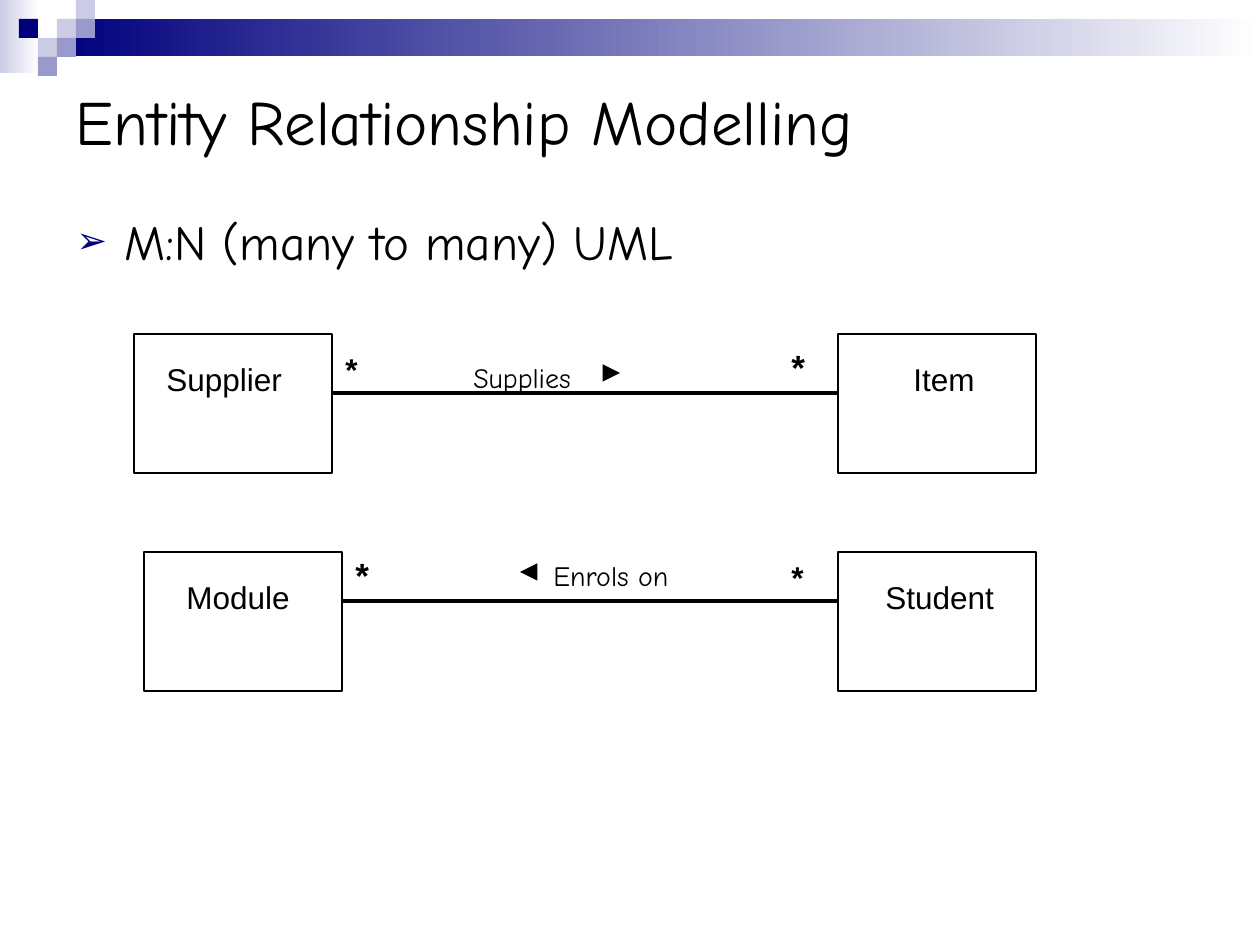
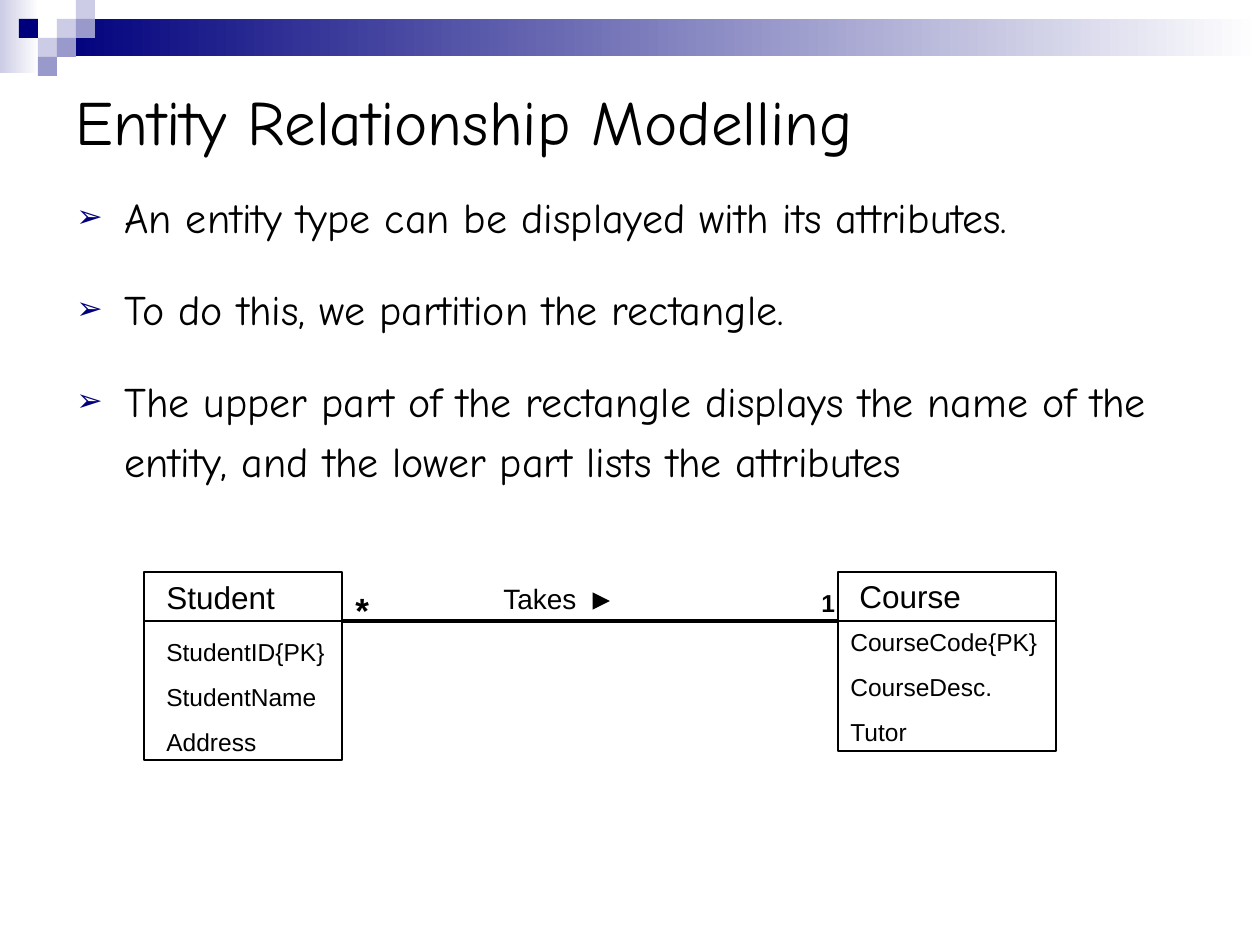
from lxml.etree import SubElement
from pptx import Presentation
from pptx.dml.color import RGBColor
from pptx.enum.shapes import MSO_CONNECTOR, MSO_SHAPE
from pptx.enum.text import MSO_ANCHOR, MSO_AUTO_SIZE
from pptx.oxml.ns import qn
from pptx.util import Emu, Pt

PX_PER_INCH = 126
COLORS = {"ink": "000000", "navy": "00007D", "mid": "9999CC", "pale": "CCCCE6", "white": "FFFFFF"}
HAND, SANS = "Comic Neue", "Arial"
TITLE = "Entity Relationship Modelling"
TILE = 19
# column, row and colour of each corner tile
TILES = [(3, 1, "pale"), (4, 0, "pale"), (4, 1, "mid"), (2, 2, "pale"),
         (1, 1, "navy"), (3, 2, "mid"), (2, 3, "mid")]


def px(n):
    return Emu(round(n * 914400 / PX_PER_INCH))


def rgb(name):
    return RGBColor.from_string(COLORS[name])


def rect(s, x, y, w, h):
    sp = s.shapes.add_shape(MSO_SHAPE.RECTANGLE, px(x), px(y), px(w), px(h))
    sp.shadow.inherit = False
    return sp


def tile(s, col, row, color):
    sp = rect(s, col * TILE, row * TILE, TILE, TILE)
    sp.fill.solid()
    sp.fill.fore_color.rgb = rgb(color)
    sp.line.fill.background()


def fade(s, x, y, w, h, color):
    """Draw a band that fades to white towards the right."""
    sp = rect(s, x, y, w, h)
    sp.fill.gradient()
    sp.fill.gradient_angle = 0
    for stop, name in zip(sp.fill.gradient_stops, (color, "white")):
        stop.color.rgb = rgb(name)
    sp.line.fill.background()


def entity_box(s, x, y, w, h):
    sp = rect(s, x, y, w, h)
    sp.fill.background()
    sp.line.color.rgb = rgb("ink")
    sp.line.width = Pt(0.75)


def line(s, x1, x2, y, width=2.25, arrow=False):
    cn = s.shapes.add_connector(MSO_CONNECTOR.STRAIGHT, px(x1), px(y), px(x2), px(y))
    cn.line.color.rgb = rgb("ink")
    cn.line.width = Pt(width)
    if arrow:
        SubElement(cn.line._get_or_add_ln(), qn("a:tailEnd"), type="triangle", w="lg", len="lg")
    SubElement(cn._element.spPr, qn("a:effectLst"))


def direction_arrow(s, x1, x2, y):
    line(s, x1, x2, y, 0.75, arrow=True)


def add_bullet(p):
    pPr = p._p.get_or_add_pPr()
    pPr.set("marL", str(px(48)))
    pPr.set("indent", str(-px(48)))
    color = SubElement(pPr, qn("a:buClr"))
    SubElement(color, qn("a:srgbClr"), val=COLORS["navy"])
    SubElement(pPr, qn("a:buSzPct"), val="75000")
    SubElement(pPr, qn("a:buFont"), typeface=SANS)
    SubElement(pPr, qn("a:buChar"), char="➢")
    p.line_spacing = 1.2


def text(s, x, y, w, h, paragraphs, size, font=SANS, bold=False, gap=0, bullets=False):
    """Add a text box; gap is the space between paragraphs in points."""
    tf = s.shapes.add_textbox(px(x), px(y), px(w), px(h)).text_frame
    tf.word_wrap = True
    style = {"size": Pt(size), "name": font, "bold": bold}
    for i, words in enumerate(paragraphs):
        p = tf.paragraphs[0] if i == 0 else tf.add_paragraph()
        if bullets:
            add_bullet(p)
        if i:
            p.space_before = Pt(gap)
        r = p.add_run()
        r.text = words
        for key, value in style.items():
            setattr(r.font, key, value)
        r.font.color.rgb = rgb("ink")
    return tf


def label(s, x, y, w, words, size=18, font=SANS, bold=False):
    """Add a text box as high as its lines, one paragraph per line of words."""
    rows = words.split("\n")
    gap = round(size * 0.625, 1)
    points = len(rows) * size * 1.2 + (len(rows) - 1) * gap + 7.2
    tf = text(s, x, y, w, round(points * PX_PER_INCH / 72), rows, size, font, bold, gap)
    tf.auto_size = MSO_AUTO_SIZE.SHAPE_TO_FIT_TEXT


def multiplicity(s, x, y, w, words, size):
    label(s, x, y, w, words, size, bold=True)


def base_slide(prs, top, height, bullets, size):
    s = prs.slides.add_slide(prs.slide_layouts[6])
    fade(s, 0, 0, 39, 73, "pale")
    fade(s, 57, 19, 1203, 37, "navy")
    for col, row, color in TILES:
        tile(s, col, row, color)
    tf = text(s, 63, 66, 1197, 109, [TITLE], 36, HAND)
    tf.vertical_anchor = MSO_ANCHOR.MIDDLE
    text(s, 64, top, 1134, height, bullets, size, HAND, gap=size * 0.75, bullets=True)
    return s


def many_to_many_slide(prs):
    s = base_slide(prs, 194, 89, ["M:N (many to many) UML"], 28)
    for x, y in [(134, 334), (838, 334), (144, 552), (838, 552)]:
        entity_box(s, x, y, 198, 139)
    label(s, 154, 354, 159, "Supplier")
    label(s, 901, 354, 92, "Item")
    label(s, 174, 572, 139, "Module")
    label(s, 873, 572, 142, "Student")

    line(s, 333, 838, 393)
    label(s, 461, 354, 149, "Supplies", 16, HAND)
    direction_arrow(s, 610, 620, 373)
    line(s, 343, 838, 601)
    label(s, 541, 552, 149, "Enrols on", 16, HAND)
    direction_arrow(s, 530, 520, 572)
    for x, y, w, size in [(333, 344, 69, 18), (779, 339, 89, 20),
                          (343, 547, 89, 20), (779, 552, 69, 18)]:
        multiplicity(s, x, y, w, "*", size)


def attributes_slide(prs):
    s = base_slide(prs, 175, 358, [
        "An entity type can be displayed with its attributes.",
        "To do this, we partition the rectangle.",
        "The upper part of the rectangle displays the name of the entity, "
        "and the lower part lists the attributes",
    ], 24)
    for x, w, h in [(144, 198, 188), (838, 218, 179)]:
        entity_box(s, x, 572, w, h)
        line(s, x, x + w, 621, 0.75)
    label(s, 154, 572, 169, "Student")
    label(s, 847, 571, 138, "Course")
    label(s, 154, 631, 189, "StudentID{PK}\nStudentName\nAddress", 14)
    label(s, 838, 621, 228, "CourseCode{PK}\nCourseDesc.\nTutor", 14)

    line(s, 343, 838, 621)
    label(s, 491, 575, 169, "Takes", 16)
    direction_arrow(s, 600, 610, 601)
    multiplicity(s, 343, 582, 89, "*", 20)
    multiplicity(s, 809, 582, 59, "1", 14)


def main():
    prs = Presentation()
    prs.slide_width, prs.slide_height = px(1260), px(945)
    many_to_many_slide(prs)
    attributes_slide(prs)
    prs.save("out.pptx")


if __name__ == "__main__":
    main()
